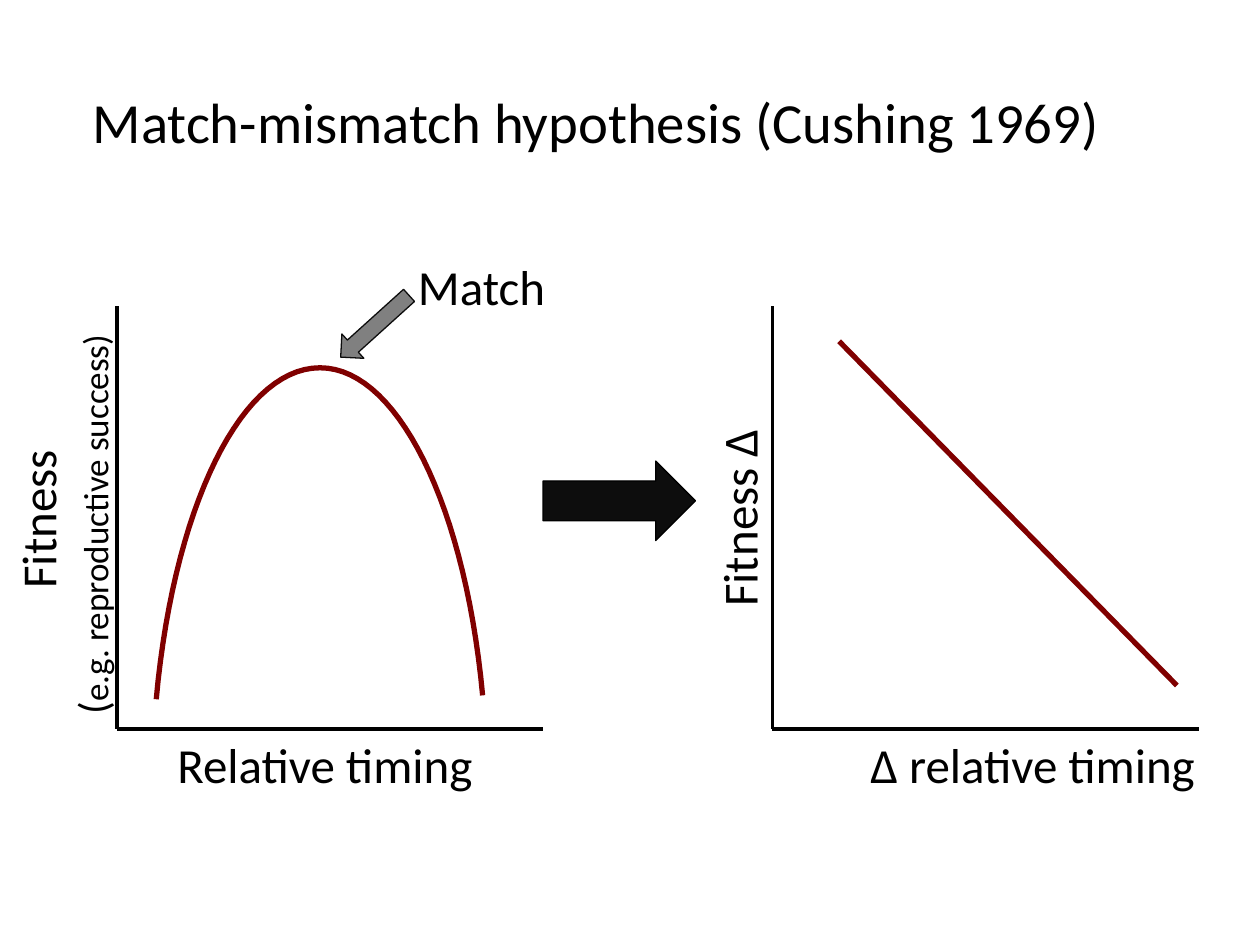
from dataclasses import dataclass

from lxml import etree
from pptx import Presentation
from pptx.dml.color import RGBColor
from pptx.enum.shapes import MSO_CONNECTOR, MSO_SHAPE
from pptx.enum.text import MSO_ANCHOR, MSO_AUTO_SIZE, PP_ALIGN
from pptx.oxml.ns import qn
from pptx.util import Pt

STRAIGHT = MSO_CONNECTOR.STRAIGHT
RIGHT_ARROW = MSO_SHAPE.RIGHT_ARROW
MIDDLE = MSO_ANCHOR.MIDDLE
FIT_SHAPE = MSO_AUTO_SIZE.SHAPE_TO_FIT_TEXT
LEFT, CENTER = PP_ALIGN.LEFT, PP_ALIGN.CENTER
TITLE_ONLY = 5
CURVE_STEPS = 30


@dataclass(frozen=True)
class Theme:
    font: str = "Calibri"
    black: RGBColor = RGBColor(0, 0, 0)
    near_black: RGBColor = RGBColor(0x0D, 0x0D, 0x0D)
    gray: RGBColor = RGBColor(0x80, 0x80, 0x80)
    maroon: RGBColor = RGBColor(0x80, 0, 0)
    title_size: float = 32.4
    label_size: float = 28
    bracket_size: float = 24
    note_size: float = 20
    axis_width: float = 2
    data_width: float = 3
    outline_width: float = 0.75


THEME = Theme()


def add_run(paragraph, text, size=THEME.label_size, color=THEME.black):
    run = paragraph.add_run()
    run.text = text
    run.font.name = THEME.font
    run.font.size = Pt(size)
    run.font.color.rgb = color


def write_text(frame, text, align=LEFT, indent=0, **run_format):
    paragraph = frame.paragraphs[0]
    paragraph.alignment = align
    if indent:
        paragraph._p.get_or_add_pPr().set("marL", str(Pt(indent)))
    add_run(paragraph, text, **run_format)


def add_label(shapes, text, box, rotation=0, wrap=False, **text_format):
    shape = shapes.add_textbox(*map(Pt, box))
    shape.rotation = rotation
    frame = shape.text_frame
    frame.word_wrap = wrap
    frame.auto_size = FIT_SHAPE
    write_text(frame, text, **text_format)
    return frame


def add_line(shapes, start, end, color=THEME.black, width=THEME.axis_width):
    line = shapes.add_connector(STRAIGHT, *map(Pt, (*start, *end)))
    line.line.color.rgb = color
    line.line.width = Pt(width)
    etree.SubElement(line._element.spPr, qn("a:effectLst"))


def add_arrow(shapes, box, fill, outline, rotation=0):
    shape = shapes.add_shape(RIGHT_ARROW, *map(Pt, box))
    shape.rotation = rotation
    shape.shadow.inherit = False
    shape.fill.solid()
    shape.fill.fore_color.rgb = fill
    shape.line.color.rgb = outline
    shape.line.width = Pt(THEME.outline_width)


def bezier_point(controls, t):
    weights = ((1 - t) ** 3, 3 * t * (1 - t) ** 2, 3 * t ** 2 * (1 - t), t ** 3)
    return tuple(
        Pt(sum(weight * value for weight, value in zip(weights, axis)))
        for axis in zip(*controls)
    )


def add_curve(shapes, segments):
    points = [
        bezier_point(controls, step / CURVE_STEPS)
        for controls in segments
        for step in range(1, CURVE_STEPS + 1)
    ]
    builder = shapes.build_freeform(*bezier_point(segments[0], 0))
    builder.add_line_segments(points, close=False)
    shape = builder.convert_to_shape()
    shape.shadow.inherit = False
    shape.fill.background()
    shape.line.color.rgb = THEME.maroon
    shape.line.width = Pt(THEME.data_width)


def add_axes(shapes, left, top=175, bottom=416.5, width=243.5):
    add_line(shapes, (left, top), (left, bottom))
    add_line(shapes, (left, bottom), (left + width, bottom))


def format_title(title):
    title.left, title.top, title.width, title.height = map(Pt, (36, 21.6, 648, 90))
    frame = title.text_frame
    frame.vertical_anchor = MIDDLE
    frame.margin_top = Pt(8.4)
    frame.margin_right = Pt(46)
    write_text(frame, "Match-mismatch hypothesis (Cushing 1969)",
               align=CENTER, size=THEME.title_size)


def add_fitness_plot(shapes):
    peak = (182.9, 210.2)
    add_curve(shapes, [
        ((275.8, 397.4), (265.7, 288), (226.8, 210.2), peak),
        (peak, (138.2, 210.2), (99.4, 288.7), (89.3, 399.6)),
    ])
    add_axes(shapes, left=67)
    add_label(shapes, "Match", (231.8, 143.3, 88.6, 41))
    add_arrow(shapes, (187.9, 177.1, 52.6, 18.7), THEME.gray, THEME.near_black,
              rotation=137.9)
    add_label(shapes, "Relative timing", (94.3, 416.2, 193, 41), wrap=True)
    frame = add_label(shapes, "Fitness", (-115.9, 228.2, 303.8, 70.6),
                      rotation=270, wrap=True, indent=72)
    note = frame.add_paragraph()
    add_run(note, "(", size=THEME.bracket_size)
    add_run(note, "e.g. reproductive success)", size=THEME.note_size)


def add_change_plot(shapes):
    add_line(shapes, (479.5, 195), (672.5, 391.7), THEME.maroon, THEME.data_width)
    add_label(shapes, "Δ relative timing", (490.3, 416.2, 203, 41))
    add_label(shapes, "Fitness Δ", (363.6, 275, 116.6, 41), rotation=270)
    add_axes(shapes, left=441.4)


def main():
    presentation = Presentation()
    presentation.slide_width, presentation.slide_height = Pt(720), Pt(540)
    slide = presentation.slides.add_slide(presentation.slide_layouts[TITLE_ONLY])
    format_title(slide.shapes.title)
    add_fitness_plot(slide.shapes)
    add_change_plot(slide.shapes.add_group_shape().shapes)
    add_arrow(slide.shapes, (310.3, 263.5, 87.1, 45.4), THEME.near_black, THEME.black)
    presentation.save("out.pptx")


if __name__ == "__main__":
    main()
